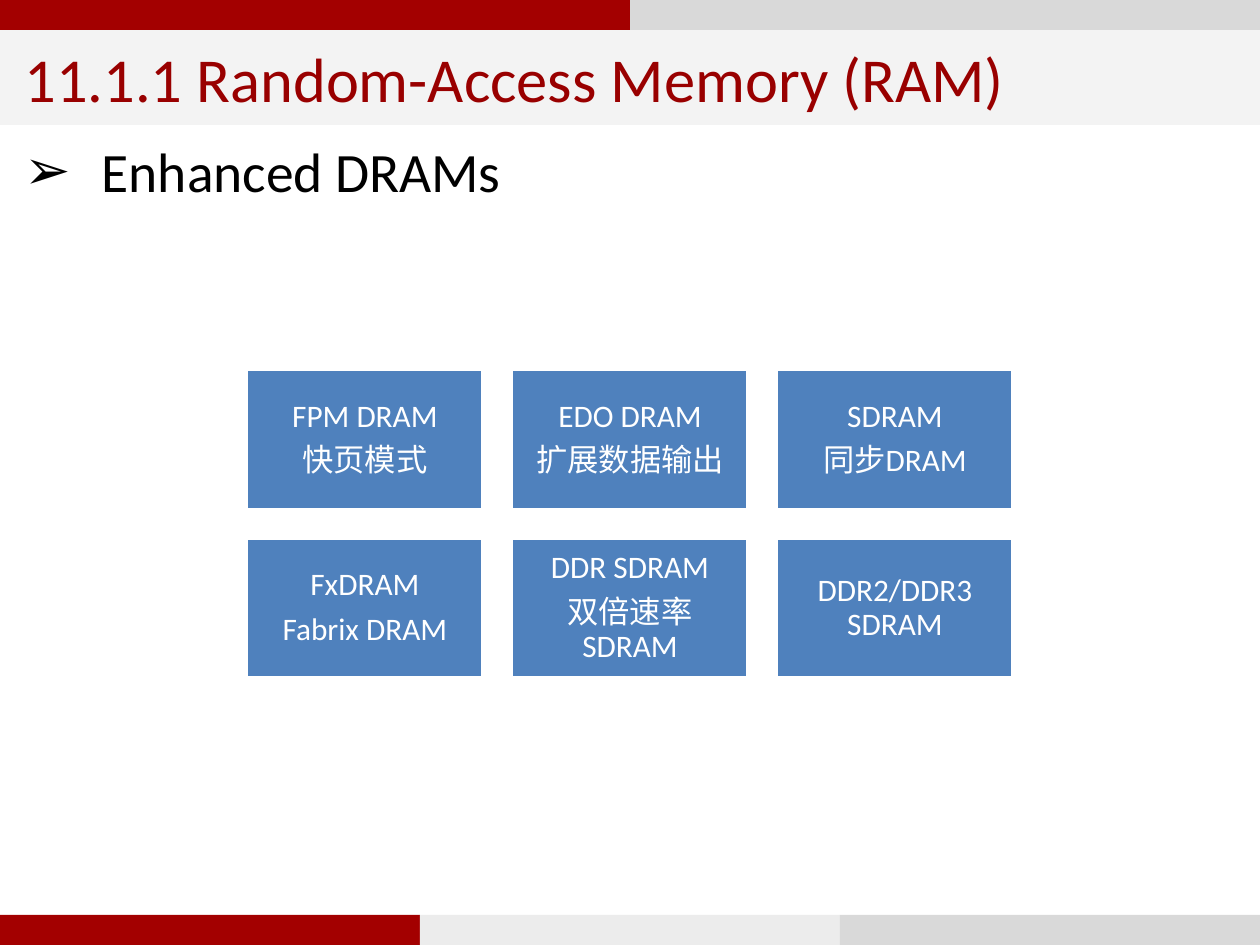
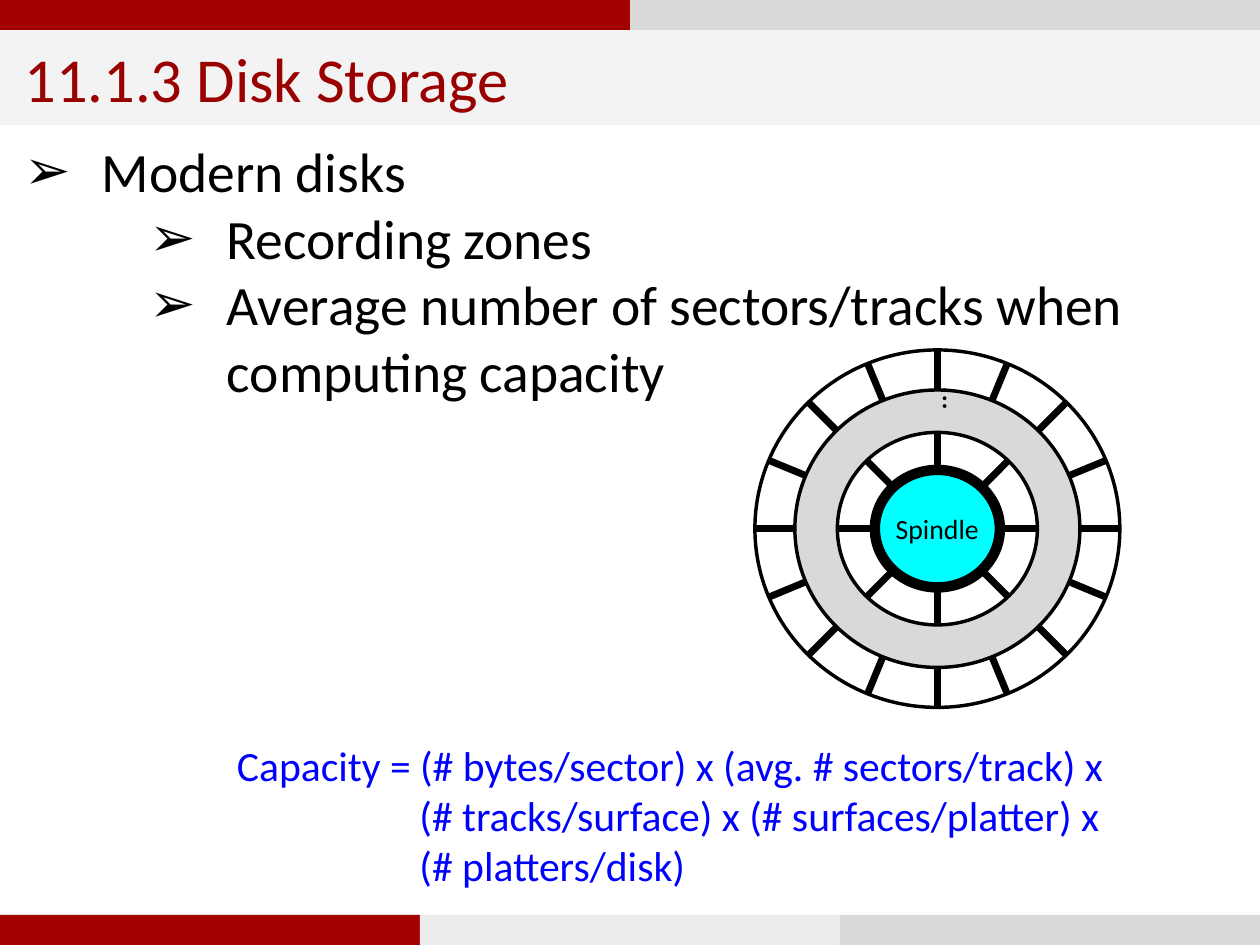
from math import cos, pi, sin

from pptx import Presentation
from pptx.dml.color import RGBColor
from pptx.enum.shapes import MSO_CONNECTOR as CONN, MSO_SHAPE as SHAPE
from pptx.enum.text import MSO_ANCHOR as ANCHOR, PP_ALIGN as ALIGN
from pptx.oxml.ns import qn
from pptx.util import Inches, Pt
from lxml.etree import SubElement

BLACK = RGBColor(0x00, 0x00, 0x00)
WHITE = RGBColor(0xFF, 0xFF, 0xFF)
RED = RGBColor(0xA3, 0x00, 0x00)
TITLE_RED = RGBColor(0x99, 0x00, 0x00)
GREY = RGBColor(0xD9, 0xD9, 0xD9)
LIGHT = RGBColor(0xEC, 0xEC, 0xEC)
PALE = RGBColor(0xF3, 0xF3, 0xF3)
TILE_BLUE = RGBColor(0x4F, 0x81, 0xBD)
FORMULA_BLUE = RGBColor(0x00, 0x00, 0xFF)
CYAN = RGBColor(0x00, 0xFF, 0xFF)

FONT = "Calibri"
W, H, BAND, TITLE_H = 5.04, 3.78, 0.12, 0.38
BODY_TOP = BAND + TITLE_H

TITLE = dict(size=Pt(18), color=TITLE_RED)
BODY = dict(size=Pt(16), color=BLACK)
TILE = dict(size=Pt(9), color=WHITE)
FORMULA = dict(size=Pt(12), color=FORMULA_BLUE)
SPINDLE = dict(size=Pt(8), color=BLACK)
DOTS = dict(size=Pt(9.1), color=BLACK)


def set_attrs(obj, values):
    for name, value in values.items():
        setattr(obj, name, value)


def add_box(s, box, fill=None, line=None, width=1, kind=SHAPE.RECTANGLE):
    sp = s.shapes.add_shape(kind, *map(Inches, box))
    sp.shadow.inherit = False
    if fill is None:
        sp.fill.background()
    else:
        sp.fill.solid()
        sp.fill.fore_color.rgb = fill
    if line is None:
        sp.line.fill.background()
    else:
        sp.line.color.rgb = line
        sp.line.width = Pt(width)
    return sp


def write(sp, lines, look, para=None, **frame):
    """Write one paragraph per line and return the paragraphs."""
    tf = sp.text_frame
    set_attrs(tf, {"word_wrap": True, "vertical_anchor": ANCHOR.TOP, **frame})
    for i, line in enumerate(lines):
        p = tf.paragraphs[0] if i == 0 else tf.add_paragraph()
        set_attrs(p, {"alignment": ALIGN.LEFT, **(para or {})})
        r = p.add_run()
        r.text = line
        set_attrs(r.font, {"name": FONT, "size": look["size"]})
        r.font.color.rgb = look["color"]
    return tf.paragraphs


def indent(p, left, hanging=0, bullet=None):
    pPr = p._p.get_or_add_pPr()
    pPr.set("marL", str(Inches(left)))
    pPr.set("indent", str(Inches(-hanging)))
    if bullet:
        SubElement(pPr, qn("a:buFont")).set("typeface", FONT)
        SubElement(pPr, qn("a:buChar")).set("char", bullet)


def add_bands(s, top, colors):
    width = W / len(colors)
    for i, color in enumerate(colors):
        add_box(s, (i * width, top, width, BAND), color)


def add_frame(prs, title, bullets):
    """Start a slide with bullets (level, text), bands and title."""
    s = prs.slides.add_slide(prs.slide_layouts[6])
    body = add_box(s, (0, BODY_TOP, W, H - BAND - BODY_TOP), WHITE)
    paragraphs = write(body, [text for _, text in bullets], BODY)
    for p, (level, _) in zip(paragraphs, bullets):
        p.level = level
        indent(p, 0.31 + 0.5 * level, 0.31, "➢")
    add_bands(s, 0, (RED, GREY))
    bar = add_box(s, (0, BAND, W, TITLE_H), PALE)
    write(bar, [title], TITLE, vertical_anchor=ANCHOR.MIDDLE)
    add_bands(s, H - BAND, (RED, LIGHT, GREY))
    return s


def add_tiles(s, box, tiles, cols=3, gap=0.1):
    left, top, width, height = box
    rows = len(tiles) // cols
    w = (width - gap * (cols - 1)) / cols
    h = (height - gap * (rows - 1)) / rows
    margins = {f"margin_{side}": Inches(0.04)
               for side in ("left", "top", "right", "bottom")}
    para = dict(alignment=ALIGN.CENTER, line_spacing=0.9, space_after=Pt(3.15))
    for i, lines in enumerate(tiles):
        row, col = divmod(i, cols)
        tile = add_box(s, (left + col * (w + gap), top + row * (h + gap), w, h),
                       TILE_BLUE, WHITE, 2)
        write(tile, lines, TILE, para, vertical_anchor=ANCHOR.MIDDLE, **margins)


def add_spokes(s, center, outer, inner, count):
    """Draw evenly turned lines between two ellipses given by their radii."""
    for i in range(count):
        turn = 2 * pi * i / count
        ends = [Inches(c + r * f) for radii in (outer, inner)
                for c, r, f in zip(center, radii, (sin(turn), -cos(turn)))]
        spoke = s.shapes.add_connector(CONN.STRAIGHT, *ends)
        spoke.line.color.rgb = BLACK
        spoke.line.width = Pt(2)
        SubElement(spoke._element.spPr, qn("a:effectLst"))


def add_disk(s, box):
    left, top, width, height = box
    center = (left + width / 2, top + height / 2)
    radii = []
    # Rings from the rim to the spindle: inset, fill, line width
    for inset, fill, line in ((0, None, 1), (0.16, GREY, 1),
                              (0.33, WHITE, 1), (0.48, CYAN, 3)):
        ring = add_box(s, (left + inset, top + inset,
                           width - 2 * inset, height - 2 * inset),
                       fill, BLACK, line, SHAPE.OVAL)
        radii.append((width / 2 - inset, height / 2 - inset))
    write(ring, ["Spindle"], SPINDLE, dict(alignment=ALIGN.CENTER),
          word_wrap=False, vertical_anchor=ANCHOR.MIDDLE)
    # Omitted tracks
    dots = s.shapes.add_textbox(*map(Inches, (left + 0.59, top + 0.14, 0.29, 0.16)))
    write(dots, ["…"], DOTS, word_wrap=False)
    dots.text_frame._txBody.bodyPr.set("vert", "vert270")
    # Sector borders
    add_spokes(s, center, radii[0], radii[1], 16)
    add_spokes(s, center, radii[2], radii[3], 8)


def add_formula(s, box, lines):
    sp = s.shapes.add_textbox(*map(Inches, box))
    for i, p in enumerate(write(sp, lines, FORMULA)):
        indent(p, 1.23 if i else 0.5)


def main():
    prs = Presentation()
    prs.slide_width, prs.slide_height = Inches(W), Inches(H)

    # Kinds of memory
    s = add_frame(prs, "11.1.1 Random-Access Memory (RAM)",
                  [(0, "Enhanced DRAMs")])
    add_tiles(s, (0.98, 1.47, 3.08, 1.25), [
        ("FPM DRAM", "快页模式"),
        ("EDO DRAM", "扩展数据输出"),
        ("SDRAM", "同步DRAM"),
        ("FxDRAM", "Fabrix DRAM"),
        ("DDR SDRAM", "双倍速率SDRAM"),
        ("DDR2/DDR3 SDRAM",),
    ])

    # Disk zones
    s = add_frame(prs, "11.1.3 Disk Storage", [
        (0, "Modern disks"),
        (1, "Recording zones"),
        (1, "Average number of sectors/tracks when computing capacity"),
    ])
    add_formula(s, (0.35, 2.91, 4.6, 0.71), [
        "Capacity = (# bytes/sector) x (avg. # sectors/track) x",
        "(# tracks/surface) x (# surfaces/platter) x",
        "(# platters/disk)",
    ])
    add_disk(s, (3.02, 1.4, 1.46, 1.43))

    prs.save("out.pptx")


if __name__ == "__main__":
    main()
